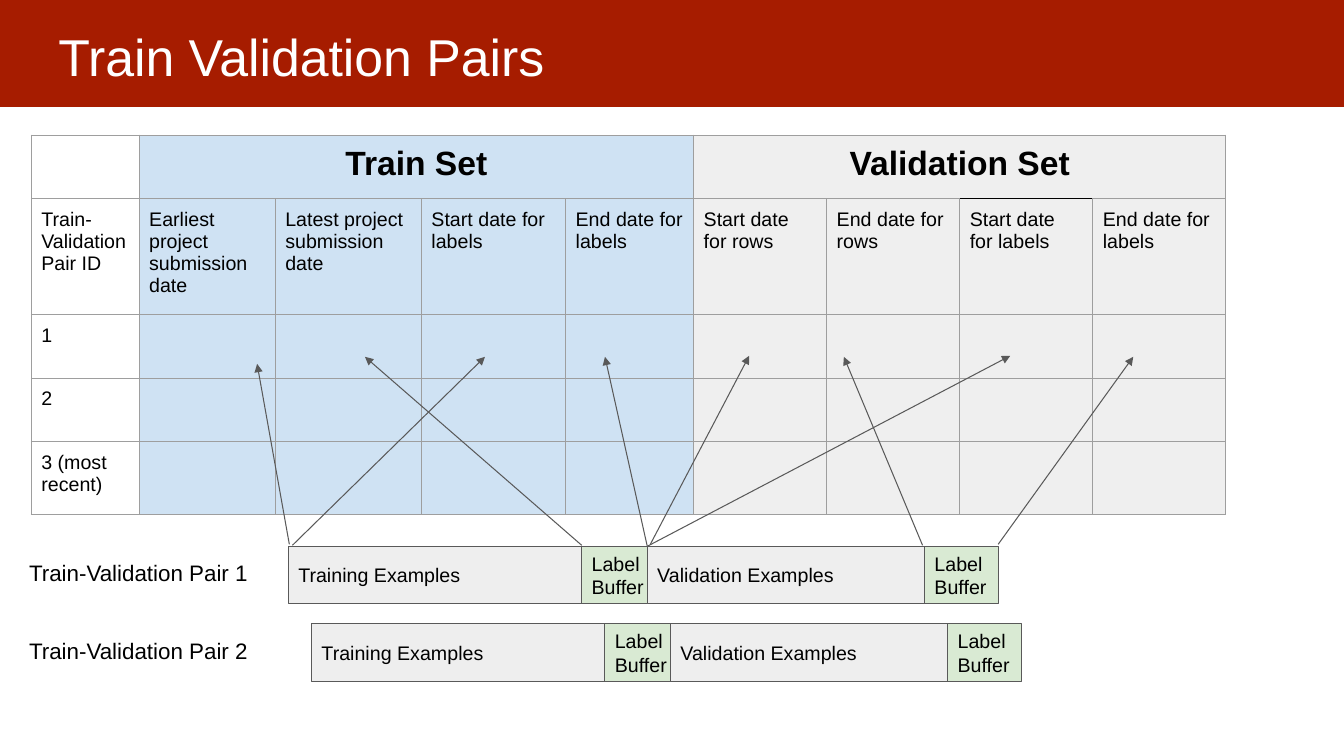
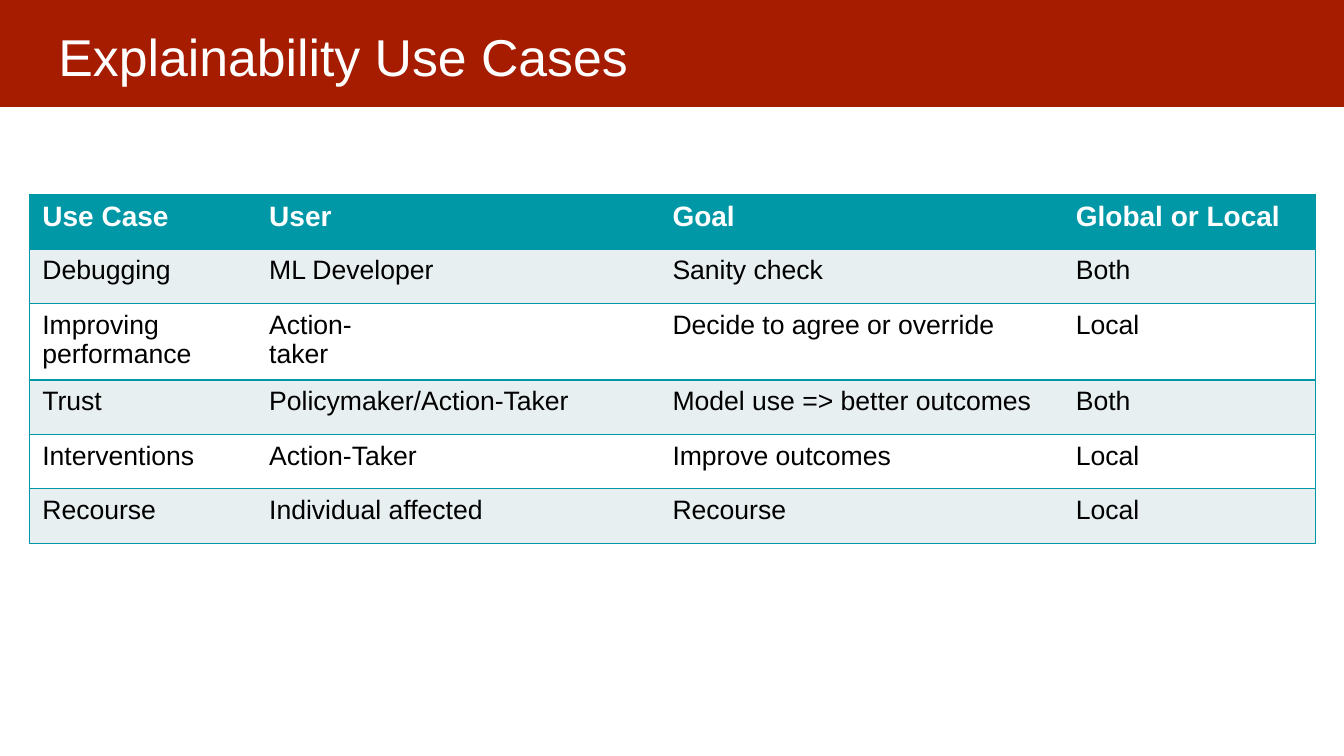
"""Build two slides on train validation pairs and explainability use cases."""
import pptx
import pptx.dml.color
import pptx.enum.shapes
import pptx.enum.text
import pptx.oxml
import pptx.oxml.ns
import pptx.util

RGB = pptx.dml.color.RGBColor
RED = RGB(0xA6, 0x1C, 0x00)
WHITE = RGB(0xFF, 0xFF, 0xFF)
BLACK = RGB(0x00, 0x00, 0x00)
BLUE = RGB(0xCF, 0xE2, 0xF3)
PALE = RGB(0xEF, 0xEF, 0xEF)
BAR = RGB(0xEE, 0xEE, 0xEE)
GREEN = RGB(0xD9, 0xEA, 0xD3)
GRID = RGB(0x9E, 0x9E, 0x9E)
DARK = RGB(0x59, 0x59, 0x59)
TEAL = RGB(0x00, 0x97, 0xA7)
MIST = RGB(0xE7, 0xEF, 0xF1)

ALIGN = pptx.enum.text.PP_ALIGN
ANCHOR = pptx.enum.text.MSO_ANCHOR
FIT = pptx.enum.text.MSO_AUTO_SIZE
SHAPE = pptx.enum.shapes.MSO_SHAPE.RECTANGLE
LINE = pptx.enum.shapes.MSO_CONNECTOR.STRAIGHT
SCALE = 9144


def px(count):
    return pptx.util.Emu(count * SCALE)


def assign(target, values):
    for name, value in values.items():
        setattr(target, name, value)


class Deck:
    FONT = "Arial"
    THIN = 0.75

    def __init__(self):
        self.show = pptx.Presentation()
        assign(self.show, {"slide_width": px(1333), "slide_height": px(750)})

    def page(self, title):
        self.slide = self.show.slides.add_slide(self.show.slide_layouts[5])
        head = self.slide.shapes.title
        band = self.rect((-2, -4, 1336, 110), RED)
        head.element.addprevious(band.element)
        assign(head, dict(zip(("left", "top", "width", "height"),
                              map(px, (45, 9, 1242, 83)))))
        self.fill_text(head.text_frame, title, 37, WHITE, pad=(13, 13),
                       anchor=ANCHOR.MIDDLE, space=1.15)

    def fill_text(self, frame, text, size, color=BLACK, bold=False,
                  pad=(10, 10), anchor=ANCHOR.TOP, align=ALIGN.LEFT,
                  space=1.0, fit=FIT.NONE):
        side, edge = map(px, pad)
        frame.text = text
        assign(frame, {"word_wrap": True, "auto_size": fit,
                       "vertical_anchor": anchor,
                       "margin_left": side, "margin_right": side,
                       "margin_top": edge, "margin_bottom": edge})
        self.style(frame, size, color, bold, align, space)

    def style(self, frame, size, color, bold, align, space=1.0):
        for para in frame.paragraphs:
            assign(para, {"alignment": align, "line_spacing": space})
            for run in para.runs:
                assign(run.font, {"name": self.FONT, "bold": bold,
                                  "size": pptx.util.Pt(size)})
                run.font.color.rgb = color

    def stroke(self, line, color):
        line.color.rgb = color
        line.width = pptx.util.Pt(self.THIN)

    def rect(self, box, fill, edge=None):
        shape = self.slide.shapes.add_shape(SHAPE, *map(px, box))
        shape.shadow.inherit = False
        shape.fill.solid()
        shape.fill.fore_color.rgb = fill
        if edge is None:
            shape.line.fill.background()
        else:
            self.stroke(shape.line, edge)
        return shape

    def block(self, box, text, fill):
        shape = self.rect(box, fill, DARK)
        self.fill_text(shape.text_frame, text, 14, anchor=ANCHOR.MIDDLE)

    def label(self, box, text):
        shape = self.slide.shapes.add_textbox(*map(px, box))
        self.fill_text(shape.text_frame, text, 16, fit=FIT.SHAPE_TO_FIT_TEXT)

    def arrow(self, start, end):
        line = self.slide.shapes.add_connector(LINE, *map(px, start + end))
        self.stroke(line.line, DARK)
        props = line.element.spPr
        space = pptx.oxml.ns.nsdecls("a")
        props.find(pptx.oxml.ns.qn("a:ln")).append(
            pptx.oxml.parse_xml(f'<a:tailEnd {space} type="triangle"/>'))
        props.append(pptx.oxml.parse_xml(f"<a:effectLst {space}/>"))

    def border(self, props, edges, width):
        space = pptx.oxml.ns.nsdecls("a")
        for spot, (side, color) in enumerate(zip("LRTB", edges)):
            paint = "<a:noFill/>"
            if color is not None:
                paint = f'<a:solidFill><a:srgbClr val="{color}"/></a:solidFill>'
            props.insert(spot, pptx.oxml.parse_xml(
                f'<a:ln{side} {space} w="{pptx.util.Pt(width)}">'
                f"{paint}</a:ln{side}>"))

    def table(self, spot, cols, rows, texts, look, edges, width, pad):
        frame = self.slide.shapes.add_table(
            len(rows), len(cols), *map(px, spot + (sum(cols), sum(rows))))
        table = frame.table
        assign(table, {"first_row": False, "horz_banding": False})
        for col, size in zip(table.columns, cols):
            col.width = px(size)
        for row, size in zip(table.rows, rows):
            row.height = px(size)
        side, edge = map(px, pad)
        for i in range(len(rows)):
            for j in range(len(cols)):
                cell = table.cell(i, j)
                fill, size, color, bold, align = look(i, j)
                cell.text = texts[i][j] if j < len(texts[i]) else ""
                assign(cell, {"margin_left": side, "margin_right": side,
                              "margin_top": edge, "margin_bottom": edge,
                              "vertical_anchor": ANCHOR.TOP})
                self.style(cell.text_frame, size, color, bold, align)
                cell.fill.solid()
                cell.fill.fore_color.rgb = fill
        for k, props in enumerate(frame.element.iter(pptx.oxml.ns.qn("a:tcPr"))):
            self.border(props, edges(*divmod(k, len(cols))), width)
        return table


def pairs(deck):
    deck.page("Train Validation Pairs")
    texts = [
        ["", "Train Set", "", "", "", "Validation Set"],
        ["Train-Validation Pair ID", "Earliest project submission date",
         "Latest project submission date", "Start date for labels",
         "End date for labels", "Start date for rows", "End date for rows",
         "Start date for labels", "End date for labels"],
        ["1"], ["2"], ["3 (most recent)"]]

    def look(i, j):
        fill = WHITE if j == 0 else BLUE if j < 5 else PALE
        if i == 0:
            return fill, 24, BLACK, True, ALIGN.CENTER
        return fill, 14, BLACK, False, ALIGN.LEFT

    def edges(i, j):
        return (GRID, GRID, BLACK if (i, j) == (1, 7) else GRID,
                BLACK if (i, j) == (0, 7) else GRID)

    table = deck.table((31, 134), [107, 135, 145, 143, 127] + [132] * 4,
                       [63, 115, 63, 63, 72], texts, look, edges, 0.75, (10, 10))
    for first in (1, 5):
        table.cell(0, first).merge(table.cell(0, first + 3))

    blocks = [(0, 298, "Training Examples", BAR), (291, 73, "Label Buffer", GREEN),
              (356, 298, "Validation Examples", BAR),
              (631, 73, "Label Buffer", GREEN)]
    for n in range(2):
        left, top = 286 + 23 * n, 542 + 77 * n
        for shift, width, text, fill in blocks:
            deck.block((left + shift, top, width, 57), text, fill)
        deck.label((19, top + 3, 255, 47), f"Train-Validation Pair {n + 1}")

    for start, end in [
            ((287, 540), (255, 361)), ((577, 541), (362, 354)),
            ((290, 541), (481, 354)), ((642, 542), (600, 354)),
            ((645, 540), (743, 353)), ((642, 542), (1002, 353)),
            ((915, 541), (837, 354)), ((990, 540), (1124, 354))]:
        deck.arrow(start, end)


def cases(deck):
    deck.page("Explainability Use Cases")
    texts = [
        ["Use Case", "User", "Goal", "Global or Local"],
        ["Debugging", "ML Developer", "Sanity check", "Both"],
        ["Improving performance", "Action-\ntaker",
         "Decide to agree or override", "Local"],
        ["Trust", "Policymaker/Action-Taker", "Model use => better outcomes",
         "Both"],
        ["Interventions", "Action-Taker", "Improve outcomes", "Local"],
        ["Recourse", "Individual affected", "Recourse", "Local"]]

    def look(i, j):
        if i == 0:
            return TEAL, 20, WHITE, True, ALIGN.LEFT
        return MIST if i % 2 else WHITE, 19, BLACK, False, ALIGN.LEFT

    def edges(i, j):
        return TEAL if j == 0 else None, TEAL if j == 3 else None, TEAL, TEAL

    deck.table((29, 193), [225, 400, 400, 251], [54, 54, 76, 54, 54, 54],
               texts, look, edges, 1, (13, 7))


def main():
    deck = Deck()
    pairs(deck)
    cases(deck)
    deck.show.save("out.pptx")


if __name__ == "__main__":
    main()
